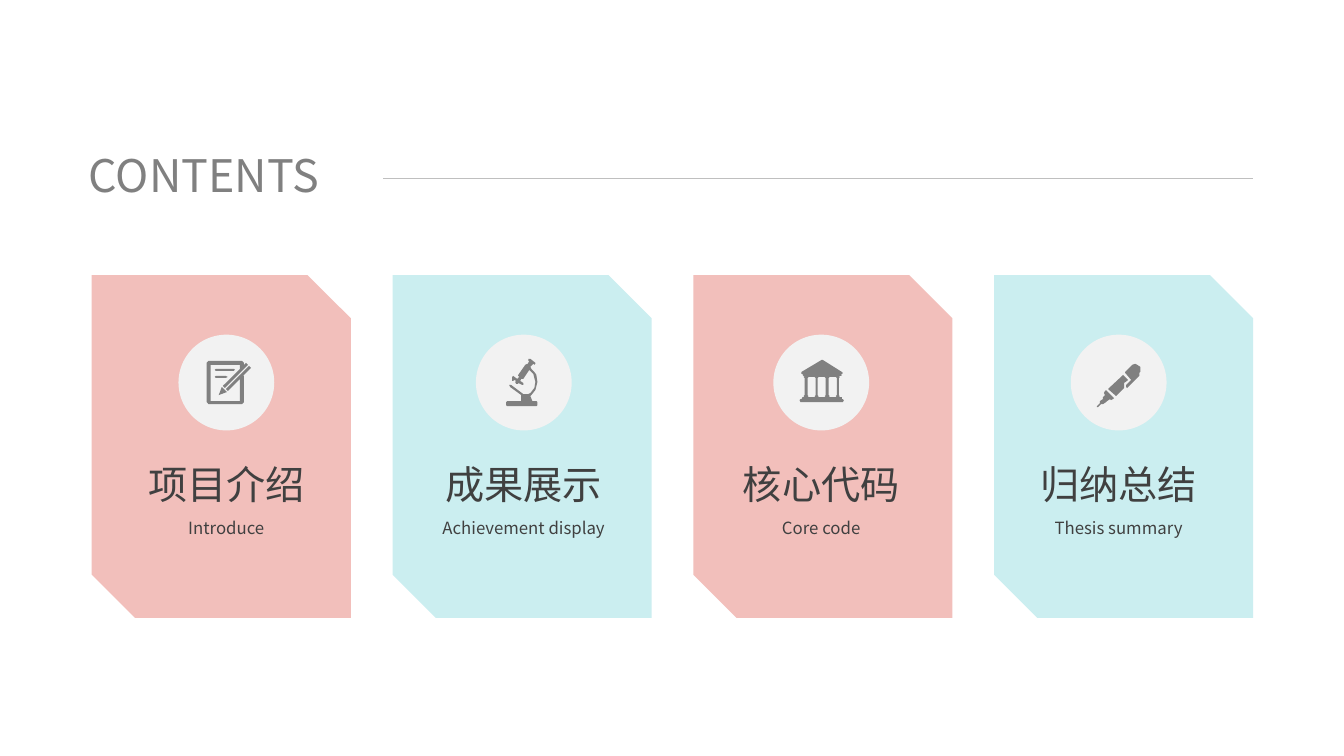
import lxml.etree
import pptx
import pptx.dml.color
import pptx.enum.shapes
import pptx.enum.text
import pptx.oxml.ns
import pptx.util

COLORS = {
    "pink": "F2BFBB", "aqua": "CBEEF0", "disc": "F2F2F2",
    "heading": "808080", "icon": "808080", "text": "404040", "rule": "BFBFBF",
}
FONT = "Noto Sans CJK SC"
WIDTH, HEIGHT = 13.33, 7.5
LEFT, RIGHT = 0.91, 12.43
CARD_TOP, CARD_W, CARD_H = 2.73, 2.57, 3.4
CARD_STEP = (RIGHT - LEFT - CARD_W) / 3
DISC_LEFT, DISC_TOP, DISC_SIZE, DISC_STEP = 1.77, 3.32, 0.95, 2.95
UNITS_PER_INCH = 100

NOTE = [
    "48,57 40,60 43,52",
    "72,33 70,31 47,54 49,56 61,44 61,66 32,66 32,30 61,30 61,34 44,51 46,53 "
    "69,30 67,28 65,30 65,28 63,26 30,26 28,28 28,67 30,69 63,69 65,67 65,41 64,41",
    "37,36 55,36 56,35 55,34 37,34 36,35",
    "37,43 47,43 49,42 47,41 37,41 36,42",
]
MICROSCOPE = [
    "60,66 56,66 54,61 55,60 59,55 61,47 60,40 58,37 55,34 54,32 57,29 58,30 "
    "59,29 59,28 54,24 52,24 52,26 53,26 51,30 51,29 49,30 42,40 42,41 43,42 "
    "41,44 37,41 36,42 36,46 37,46 38,45 40,46 39,47 40,49 42,49 42,48 46,50 "
    "47,50 47,48 44,46 45,44 47,44 53,35 57,39 59,47 58,53 54,58 52,59 47,59 "
    "35,50 33,50 34,52 45,60 45,66 31,66 30,67 30,70 31,71 60,71 61,70 61,67",
]
BANK_WALLS = (
    "68,64 68,62 65,62 66,61 65,60 65,43 66,42 65,41 67,41 68,40 67,39 68,39 "
    "69,38 68,37 49,25 48,25 28,37 28,39 29,39 29,40 30,41 31,41 30,42 31,43 "
    "31,60 30,61 31,62 29,62 28,64 27,64 26,65 27,67 69,67 70,65 69,64"
)
BANK_OPENING = "63,43 63,60 62,61 63,62 55,62 56,61 55,60 55,43 56,42 62,42"
PEN = [
    "35,55 43,63 42,64 40,65 39,64 36,66 35,67 32,69 30,69 27,72 26,72 26,71 "
    "29,68 29,66 32,64 32,62 34,60 33,58 34,56",
    "52,40 57,45 53,48 53,53 45,61 37,54",
    "64,29 66,30 69,32 69,37 68,38 68,41 57,52 56,53 55,52 55,50 60,45 54,38 "
    "54,37 61,30",
]


def inches(*lengths):
    return [pptx.util.Inches(length) for length in lengths]


def rgb(name):
    return pptx.dml.color.RGBColor.from_string(COLORS[name])


def paint(shape, color):
    shape.shadow.inherit = False
    shape.fill.solid()
    shape.fill.fore_color.rgb = rgb(color)
    shape.line.fill.background()


def add_plain(slide, preset, box, color):
    paint(slide.shapes.add_shape(preset, *inches(*box)), color)


def write(holder, text, size, color, align):
    frame = holder.text_frame
    frame.margin_left = frame.margin_right = frame.margin_top = frame.margin_bottom = 0
    frame.word_wrap = False
    frame.auto_size = pptx.enum.text.MSO_AUTO_SIZE.NONE
    frame.vertical_anchor = pptx.enum.text.MSO_ANCHOR.MIDDLE
    frame.text = text
    paragraph = frame.paragraphs[0]
    paragraph.alignment = align
    paragraph.font.size = pptx.util.Pt(size)
    paragraph.font.color.rgb = rgb(color)
    paragraph.font.name = FONT
    latin = paragraph._p.find(".//" + pptx.oxml.ns.qn("a:latin"))
    east_asian = lxml.etree.Element(pptx.oxml.ns.qn("a:ea"), typeface=FONT)
    latin.addnext(east_asian)


def add_heading(slide, text):
    heading = slide.shapes.title
    heading.left, heading.top, heading.width, heading.height = inches(0.88, 1.41, 2.62, 0.64)
    write(heading, text, 32, "heading", pptx.enum.text.PP_ALIGN.LEFT)


def add_rule(slide, start, end, y):
    rule = slide.shapes.add_connector(
        pptx.enum.shapes.MSO_CONNECTOR.STRAIGHT, *inches(start, y, end, y))
    rule.line.color.rgb = rgb("rule")
    rule.line.width = pptx.util.Pt(0.75)
    lxml.etree.SubElement(rule._element.spPr, pptx.oxml.ns.qn("a:effectLst"))


def add_label(slide, text, box, size):
    label = slide.shapes.add_textbox(*inches(*box))
    write(label, text, size, "text", pptx.enum.text.PP_ALIGN.CENTER)


def to_points(outline):
    return [tuple(int(n) for n in pair.split(",")) for pair in outline.split()]


def bank_outlines():
    openings = [[(x - shift, y) for x, y in to_points(BANK_OPENING)] for shift in (0, 11, 21)]
    return [to_points(BANK_WALLS)] + openings


def add_icon(slide, outlines, left, top):
    builder = slide.shapes.build_freeform(
        *outlines[0][0], scale=pptx.util.Inches(1) / UNITS_PER_INCH)
    for index, outline in enumerate(outlines):
        if index:
            builder.move_to(*outline[0])
        builder.add_line_segments(outline[1:], close=True)
    paint(builder.convert_to_shape(*inches(left, top)), "icon")


def add_section(slide, index, chinese, english, color, outlines):
    presets = pptx.enum.shapes.MSO_SHAPE
    card_left = LEFT + index * CARD_STEP
    disc_left = DISC_LEFT + index * DISC_STEP
    label_left = disc_left + DISC_SIZE / 2 - 0.95
    add_plain(slide, presets.SNIP_2_DIAG_RECTANGLE,
              (card_left, CARD_TOP, CARD_W, CARD_H), color)
    add_plain(slide, presets.OVAL, (disc_left, DISC_TOP, DISC_SIZE, DISC_SIZE), "disc")
    add_icon(slide, outlines, disc_left, DISC_TOP)
    add_label(slide, chinese, (label_left, 4.52, 1.9, 0.57), 28)
    add_label(slide, english, (label_left, 5.09, 1.9, 0.3), 12)


def main():
    deck = pptx.Presentation()
    deck.slide_width, deck.slide_height = inches(WIDTH, HEIGHT)
    slide = deck.slides.add_slide(deck.slide_layouts[5])
    add_heading(slide, "CONTENTS")
    add_rule(slide, 3.8, RIGHT, 1.77)
    sections = [
        ("项目介绍", "Introduce", "pink", [to_points(o) for o in NOTE]),
        ("成果展示", "Achievement display", "aqua", [to_points(o) for o in MICROSCOPE]),
        ("核心代码", "Core code", "pink", bank_outlines()),
        ("归纳总结", "Thesis summary", "aqua", [to_points(o) for o in PEN]),
    ]
    for index, section in enumerate(sections):
        add_section(slide, index, *section)
    deck.save("out.pptx")


if __name__ == "__main__":
    main()
